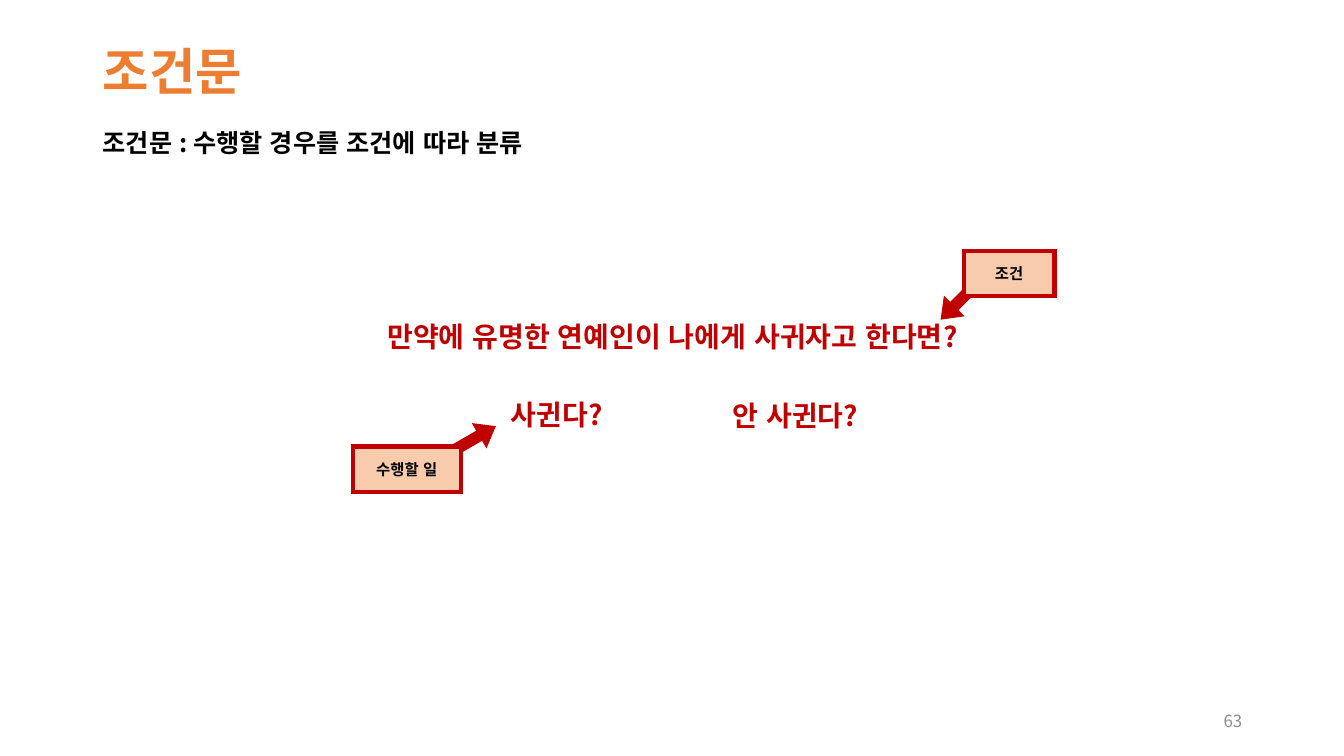
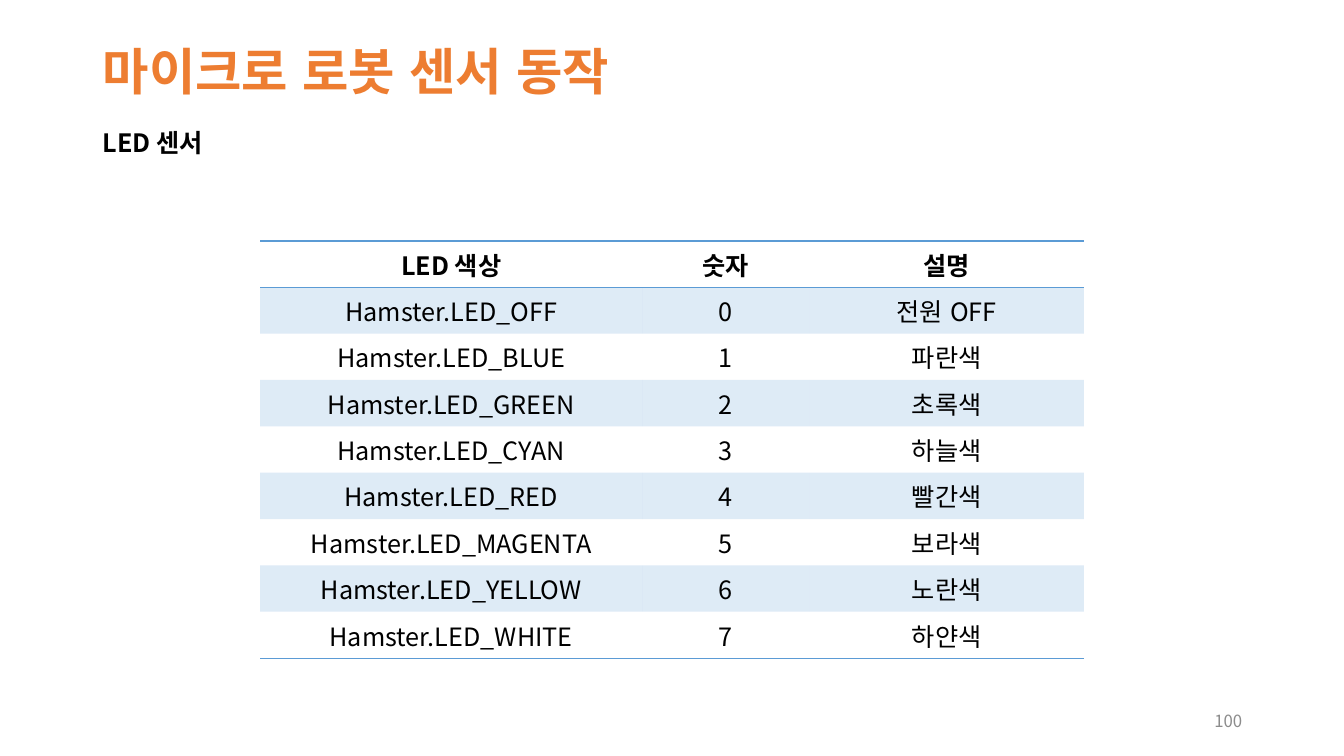
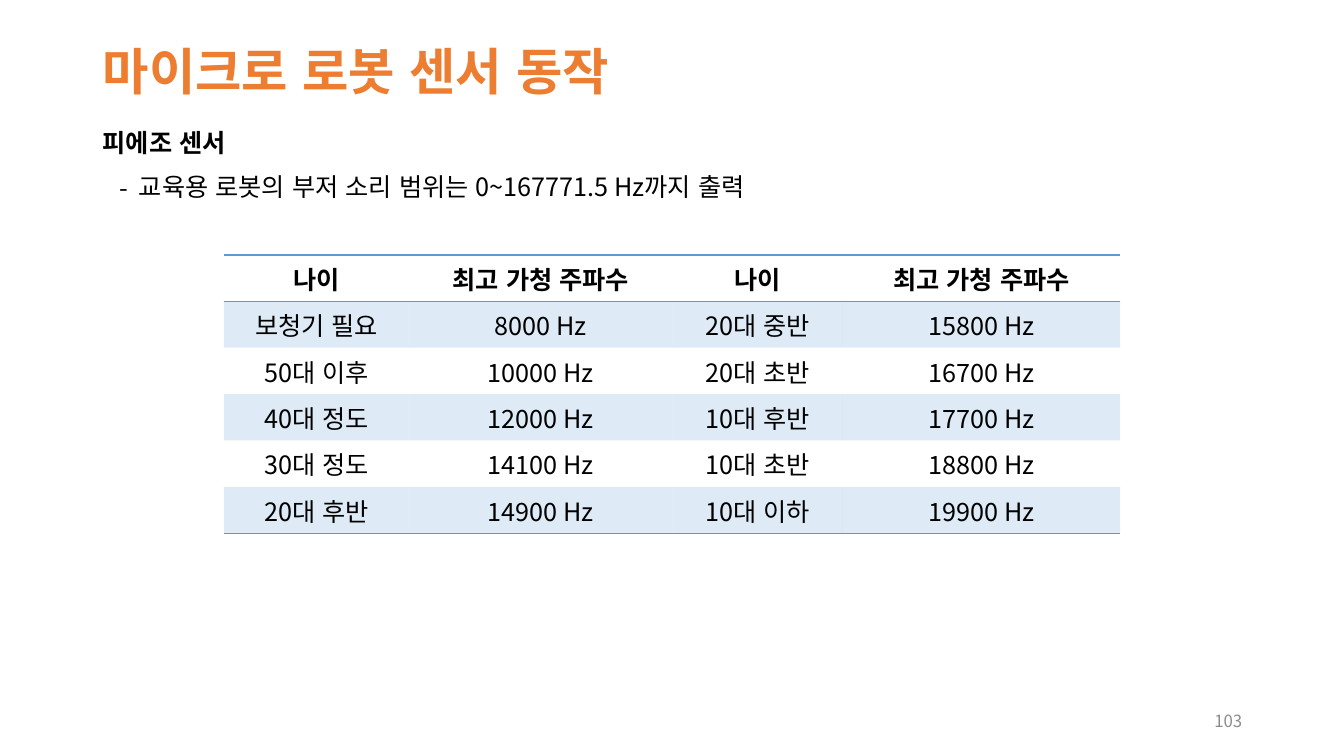
"""Build three lesson slides on conditionals and robot sensors."""
from dataclasses import dataclass

from lxml import etree
from pptx import Presentation
from pptx.dml.color import RGBColor
from pptx.enum import lang, shapes, text
from pptx.oxml import ns
from pptx.util import Inches, Pt


@dataclass(frozen=True)
class Theme:
    font: str = "Noto Sans CJK KR"
    title: str = "ED7D31"
    ink: str = "000000"
    muted: str = "8C8C8C"
    accent: str = "C00000"
    label: str = "F8CBAD"
    table: str = "5B9BD5"
    band_opacity: int = 20
    title_size: int = 36
    body_size: int = 18
    question_size: int = 20
    label_size: int = 11
    number_size: int = 12


THEME = Theme()
ALIGN = text.PP_ALIGN
MIDDLE = text.MSO_ANCHOR.MIDDLE
NO_STYLE = "{2D5ABB26-0587-4C30-8999-92F81FD0307C}"
LEFT, WIDTH = 0.92, 11.5
ROW_HEIGHT = 0.46

QUESTIONS = [
    ("사귄다?", (4.37, 3.84, 2.3, 0.54)),
    ("안 사귄다?", (6.74, 3.85, 2.3, 0.54)),
    ("만약에 유명한 연예인이 나에게 사귀자고 한다면?", (3.15, 3.02, 7.04, 0.63)),
]
CALLOUTS = [
    ("조건", (9.56, 2.49, 0.9, 0.45), (9.26, 2.86), 135),
    ("수행할 일", (3.5, 4.43, 1.07, 0.45), (4.48, 4.2), 330),
]
LED_ROWS = [
    ("LED 색상", "숫자", "설명"),
    ("Hamster.LED_OFF", "0", "전원 OFF"),
    ("Hamster.LED_BLUE", "1", "파란색"),
    ("Hamster.LED_GREEN", "2", "초록색"),
    ("Hamster.LED_CYAN", "3", "하늘색"),
    ("Hamster.LED_RED", "4", "빨간색"),
    ("Hamster.LED_MAGENTA", "5", "보라색"),
    ("Hamster.LED_YELLOW", "6", "노란색"),
    ("Hamster.LED_WHITE", "7", "하얀색"),
]
HEARING_ROWS = [
    ("나이", "최고 가청 주파수", "나이", "최고 가청 주파수"),
    ("보청기 필요", "8000 Hz", "20대 중반", "15800 Hz"),
    ("50대 이후", "10000 Hz", "20대 초반", "16700 Hz"),
    ("40대 정도", "12000 Hz", "10대 후반", "17700 Hz"),
    ("30대 정도", "14100 Hz", "10대 초반", "18800 Hz"),
    ("20대 후반", "14900 Hz", "10대 이하", "19900 Hz"),
]
SENSOR_TITLE = "마이크로 로봇 센서 동작"
SLIDES = [
    dict(title="조건문", heading="조건문 : 수행할 경우를 조건에 따라 분류", number="63",
         questions=QUESTIONS, callouts=CALLOUTS),
    dict(title=SENSOR_TITLE, heading="LED 센서", number="100",
         table=(LED_ROWS, (2.58, 2.39), (3.79, 1.66, 2.72))),
    dict(title=SENSOR_TITLE, heading="피에조 센서", number="103",
         points=["교육용 로봇의 부저 소리 범위는 0~167771.5 Hz까지 출력"],
         table=(HEARING_ROWS, (2.22, 2.53), (1.84, 2.61, 1.69, 2.75))),
]


def color(value):
    return RGBColor.from_string(value)


def inches(values):
    return [Inches(value) for value in values]


def add_xml(parent, tag, **attributes):
    return etree.SubElement(parent, ns.qn(tag), attributes)


def write(paragraph, content, size, ink=THEME.ink, bold=False, align=ALIGN.LEFT):
    paragraph.text = content
    paragraph.alignment = align
    font = paragraph.font
    font.size, font.bold, font.name = Pt(size), bold, THEME.font
    font.color.rgb = color(ink)
    font.language_id = lang.MSO_LANGUAGE_ID.KOREAN
    defaults = paragraph._p.pPr.find(ns.qn("a:defRPr"))
    add_xml(defaults, "a:ea", typeface=THEME.font)


def add_title(slide, content):
    title = slide.shapes.title
    title.left, title.top, title.width, title.height = inches((LEFT, 0.4, WIDTH, 0.67))
    frame = title.text_frame
    frame.auto_size = text.MSO_AUTO_SIZE.TEXT_TO_FIT_SHAPE
    frame.vertical_anchor = MIDDLE
    write(frame.paragraphs[0], content, THEME.title_size, THEME.title, True)
    frame.paragraphs[0].line_spacing = 0.9


def add_body(slide, heading, points):
    frame = slide.shapes.add_textbox(*inches((LEFT, 1.21, WIDTH, 5.55))).text_frame
    frame.word_wrap = True
    write(frame.paragraphs[0], heading, THEME.body_size, bold=True)
    for point in points:
        paragraph = frame.add_paragraph()
        paragraph.space_before = Pt(10)
        properties = paragraph._p.get_or_add_pPr()
        properties.set("marL", str(Inches(0.36)))
        properties.set("indent", str(Inches(-0.19)))
        add_xml(properties, "a:buFont", typeface=THEME.font)
        add_xml(properties, "a:buChar", char="-")
        write(paragraph, point, THEME.body_size)


def add_number(slide, number):
    frame = slide.shapes.add_textbox(*inches((9.42, 6.95, 3, 0.4))).text_frame
    frame.word_wrap = True
    frame.vertical_anchor = MIDDLE
    write(frame.paragraphs[0], number, THEME.number_size, THEME.muted, align=ALIGN.RIGHT)


def add_shape(slide, kind, box, fill=None, line=None):
    shape = slide.shapes.add_shape(kind, *inches(box))
    shape.shadow.inherit = False
    if fill:
        shape.fill.solid()
        shape.fill.fore_color.rgb = color(fill)
    else:
        shape.fill.background()
    if line:
        shape.line.color.rgb = color(line)
        shape.line.width = Pt(3)
        add_xml(shape.line._get_or_add_ln(), "a:miter", lim="800000")
    else:
        shape.line.fill.background()
    return shape


def label_shape(shape, content, size, ink):
    shape.text_frame.vertical_anchor = MIDDLE
    write(shape.text_frame.paragraphs[0], content, size, ink, True, ALIGN.CENTER)


def add_question(slide, content, box):
    shape = add_shape(slide, shapes.MSO_SHAPE.ROUNDED_RECTANGLE, box)
    label_shape(shape, content, THEME.question_size, THEME.accent)


def add_callout(slide, content, box, arrow_at, angle):
    arrow = add_shape(slide, shapes.MSO_SHAPE.RIGHT_ARROW, (*arrow_at, 0.47, 0.29), THEME.accent)
    arrow.rotation = angle
    arrow.adjustments[0], arrow.adjustments[1] = 0.4, 0.66
    label = add_shape(slide, shapes.MSO_SHAPE.RECTANGLE, box, THEME.label, THEME.accent)
    label_shape(label, content, THEME.label_size, THEME.ink)


def add_border(cell, tag):
    line = add_xml(cell._tc.get_or_add_tcPr(), tag, w=str(Pt(1)))
    add_xml(add_xml(line, "a:solidFill"), "a:srgbClr", val=THEME.table)


def fill_cell(cell, banded):
    if not banded:
        cell.fill.background()
        return
    cell.fill.solid()
    cell.fill.fore_color.rgb = color(THEME.table)
    tint = cell._tc.tcPr.find(ns.qn("a:solidFill")).find(ns.qn("a:srgbClr"))
    add_xml(tint, "a:alpha", val=str(THEME.band_opacity * 1000))


def add_table(slide, rows, corner, widths):
    box = (*corner, sum(widths), ROW_HEIGHT * len(rows))
    table = slide.shapes.add_table(len(rows), len(widths), *inches(box)).table
    table.first_row = table.horz_banding = False
    table._tbl.tblPr.find(ns.qn("a:tableStyleId")).text = NO_STYLE
    for column, width in zip(table.columns, widths):
        column.width = Inches(width)
    for row_index, row in enumerate(rows):
        table.rows[row_index].height = Inches(ROW_HEIGHT)
        header = row_index == 0
        for column_index, content in enumerate(row):
            cell = table.cell(row_index, column_index)
            cell.vertical_anchor = MIDDLE
            write(cell.text_frame.paragraphs[0], content, THEME.body_size,
                  bold=header, align=ALIGN.CENTER)
            if header:
                add_border(cell, "a:lnT")
            if header or row_index == len(rows) - 1:
                add_border(cell, "a:lnB")
            fill_cell(cell, row_index % 2 == 1)


def main():
    presentation = Presentation()
    presentation.slide_width, presentation.slide_height = inches((13.33, 7.5))
    title_only = presentation.slide_layouts[5]
    for content in SLIDES:
        slide = presentation.slides.add_slide(title_only)
        add_title(slide, content["title"])
        add_body(slide, content["heading"], content.get("points", []))
        add_number(slide, content["number"])
        for question in content.get("questions", []):
            add_question(slide, *question)
        for callout in content.get("callouts", []):
            add_callout(slide, *callout)
        if "table" in content:
            add_table(slide, *content["table"])
    presentation.save("out.pptx")


if __name__ == "__main__":
    main()
